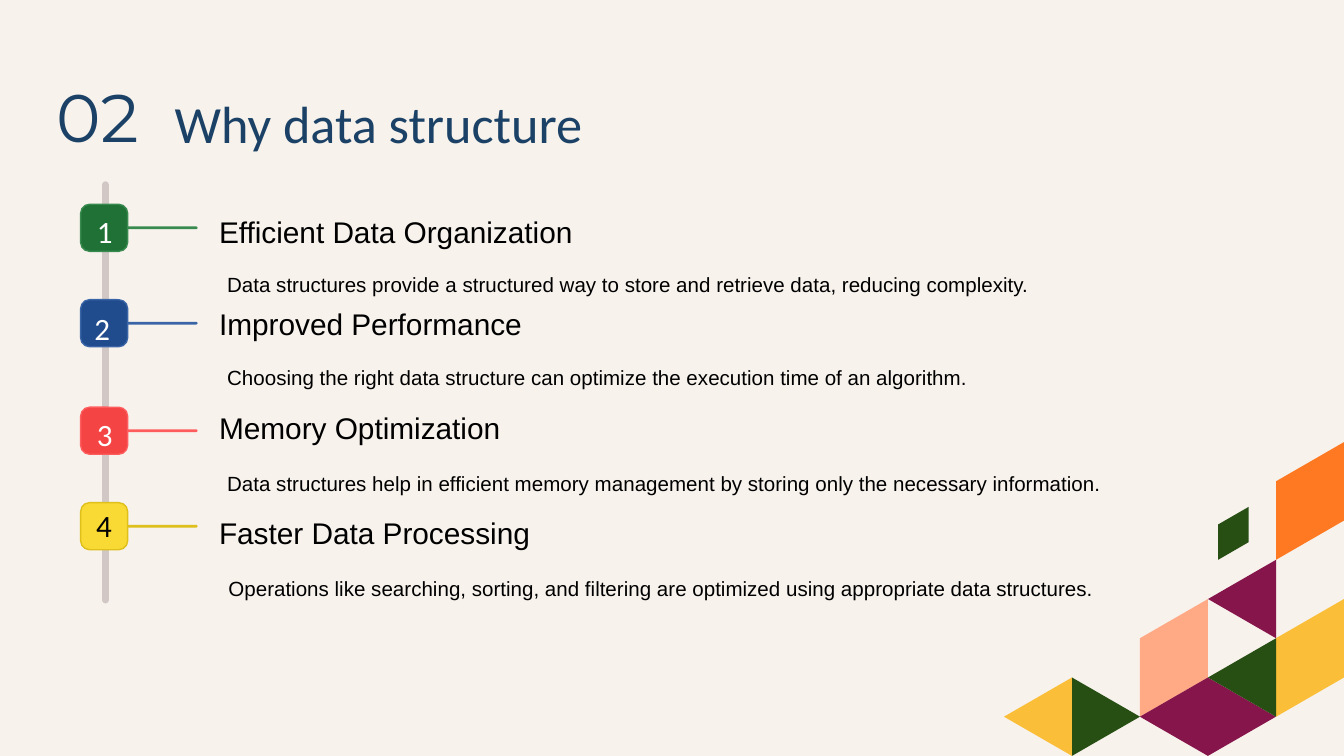
from pptx import Presentation
from pptx import util as u
from pptx.dml.color import RGBColor
from pptx.enum import shapes, text

CREAM = RGBColor(0xF7, 0xF2, 0xEC)
NAVY = RGBColor(0x1B, 0x42, 0x66)
BLACK = RGBColor(0, 0, 0)
WHITE = RGBColor(0xFF, 0xFF, 0xFF)
GREY = RGBColor(0xD1, 0xC8, 0xC6)
ORANGE = RGBColor(0xFF, 0x79, 0x22)
SALMON = RGBColor(0xFF, 0xAA, 0x85)
PLUM = RGBColor(0x86, 0x15, 0x4B)
AMBER = RGBColor(0xFA, 0xBE, 0x39)
FOREST = RGBColor(0x27, 0x4E, 0x13)
GREEN, GREEN_EDGE = RGBColor(0x1F, 0x71, 0x35), RGBColor(0x38, 0x8A, 0x4E)
BLUE, BLUE_EDGE = RGBColor(0x20, 0x4C, 0x8E), RGBColor(0x39, 0x65, 0xA7)
RED, RED_EDGE = RGBColor(0xF4, 0x44, 0x44), RGBColor(0xFF, 0x5D, 0x5D)
YELLOW, YELLOW_EDGE = RGBColor(0xF9, 0xD9, 0x33), RGBColor(0xDF, 0xBF, 0x19)

WIDTH = 10
HEIGHT = WIDTH * 9 / 16
SECTION, TITLE = "02", "Why data structure"

# heading, detail, badge fill, edge, digit colour,
# badge top, digit box, heading (top, width, height), detail (left, top)
REASONS = [
    ("Efficient Data Organization",
     "Data structures provide a structured way to store and retrieve data, reducing complexity.",
     GREEN, GREEN_EDGE, WHITE,
     1.52, (0.72, 1.58, 0.09, 0.23), (1.52, 3.17, 0.37), (1.69, 1.91)),
    ("Improved Performance",
     "Choosing the right data structure can optimize the execution time of an algorithm.",
     BLUE, BLUE_EDGE, WHITE,
     2.23, (0.70, 2.30, 0.12, 0.23), (2.21, 3.39, 0.24), (1.69, 2.60)),
    ("Memory Optimization",
     "Data structures help in efficient memory management by storing only the necessary information.",
     RED, RED_EDGE, WHITE,
     3.03, (0.72, 3.09, 0.11, 0.23), (2.98, 2.39, 0.35), (1.69, 3.39)),
    ("Faster Data Processing",
     "Operations like searching, sorting, and filtering are optimized using appropriate data structures.",
     YELLOW, YELLOW_EDGE, BLACK,
     3.74, (0.71, 3.77, 0.13, 0.29), (3.76, 2.56, 0.28), (1.70, 4.17)),
]
BADGE, STUB_H = 0.35, 0.02

# Corner mosaic: corners as (column, row up from the slide's bottom edge)
COLUMNS, COLUMN_W, ROW_H = 5, 0.0506 * WIDTH, 0.0519 * HEIGHT
MOSAIC = [
    (ORANGE, [(4, 7), (5, 8), (5, 6), (4, 5)]),
    (SALMON, [(2, 3), (3, 4), (3, 2), (2, 1)]),
    (PLUM, [(3, 2), (2, 1), (3, 0), (4, 1)]),
    (AMBER, [(4, 1), (5, 2), (5, 4), (4, 3)]),
    (FOREST, [(3.15, 5), (3.6, 5.45), (3.6, 6.35), (3.15, 5.9)]),
    (FOREST, [(3, 2), (4, 1), (4, 3)]),
    (PLUM, [(3, 4), (4, 3), (4, 5)]),
    (FOREST, [(2, 1), (1, 2), (1, 0)]),
    (AMBER, [(0, 1), (1, 0), (1, 2)]),
]

prs = Presentation()
prs.slide_width, prs.slide_height = u.Inches(WIDTH), u.Inches(HEIGHT)
slide = prs.slides.add_slide(prs.slide_layouts[5])
slide.background.fill.solid()
slide.background.fill.fore_color.rgb = CREAM


def paint(shape, fill, edge=None):
    shape.shadow.inherit = False
    shape.fill.solid()
    shape.fill.fore_color.rgb = fill
    if edge is None:
        shape.line.fill.background()
    else:
        shape.line.color.rgb = edge
        shape.line.width = u.Pt(0.75)


def write(shape, words, font, size, color, spacing=1.0, centred=False,
          inset=0, anchor=text.MSO_ANCHOR.TOP):
    frame = shape.text_frame
    frame.word_wrap = True
    frame.auto_size = text.MSO_AUTO_SIZE.NONE
    frame.vertical_anchor = anchor
    frame.margin_left = frame.margin_right = u.Inches(inset)
    frame.margin_top = frame.margin_bottom = u.Inches(inset)
    paragraph = frame.paragraphs[0]
    paragraph.text = words
    paragraph.alignment = text.PP_ALIGN.CENTER if centred else text.PP_ALIGN.LEFT
    paragraph.line_spacing = spacing
    paragraph.font.name = font
    paragraph.font.size = u.Pt(size)
    paragraph.font.color.rgb = color


def add_words(box, *args, **kwargs):
    write(slide.shapes.add_textbox(*map(u.Inches, box)), *args, **kwargs)


def add_rounded(box, radius, fill, edge=None):
    rounded = slide.shapes.add_shape(
        shapes.MSO_SHAPE.ROUNDED_RECTANGLE, *map(u.Inches, box))
    rounded.adjustments[0] = radius
    paint(rounded, fill, edge)


# Corner mosaic
for color, corners in MOSAIC:
    points = [(u.Inches(WIDTH - (COLUMNS - column) * COLUMN_W),
               u.Inches(HEIGHT - row * ROW_H)) for column, row in corners]
    builder = slide.shapes.build_freeform(*points[0])
    builder.add_line_segments(points[1:], close=True)
    paint(builder.convert_to_shape(), color)

# Title and section number
title = slide.shapes.title
title.left, title.top, title.width, title.height = map(
    u.Inches, (1.3, 0.55, 3.88, 0.48))
write(title, TITLE, "Calibri", 28, NAVY, spacing=1.27)
add_words((0.23, 0.38, 0.99, 0.88), SECTION, "Montserrat", 36, NAVY,
          centred=True, inset=0.1, anchor=text.MSO_ANCHOR.BOTTOM)

# Timeline with its numbered reasons
add_rounded((0.76, 1.35, 0.05, 3.14), 0.5, GREY)
for number, reason in enumerate(REASONS, 1):
    (heading, detail, fill, edge, digit_color,
     badge_top, digit_box, heading_place, detail_place) = reason
    heading_top, heading_w, heading_h = heading_place
    stub_top = badge_top + (BADGE - STUB_H) / 2
    add_rounded((0.93, stub_top, 0.54, STUB_H), 0.5, edge)
    add_rounded((0.6, badge_top, BADGE, BADGE), 0.19, fill, edge)
    add_words(digit_box, str(number), "Calibri", 16.6, digit_color, centred=True)
    add_words((1.63, heading_top, heading_w, heading_h), heading,
              "Arial", 16, BLACK, spacing=1.25)
    add_words((*detail_place, 7.83, 0.25), detail,
              "Arial", 11, BLACK, spacing=1.63)

prs.save("out.pptx")
